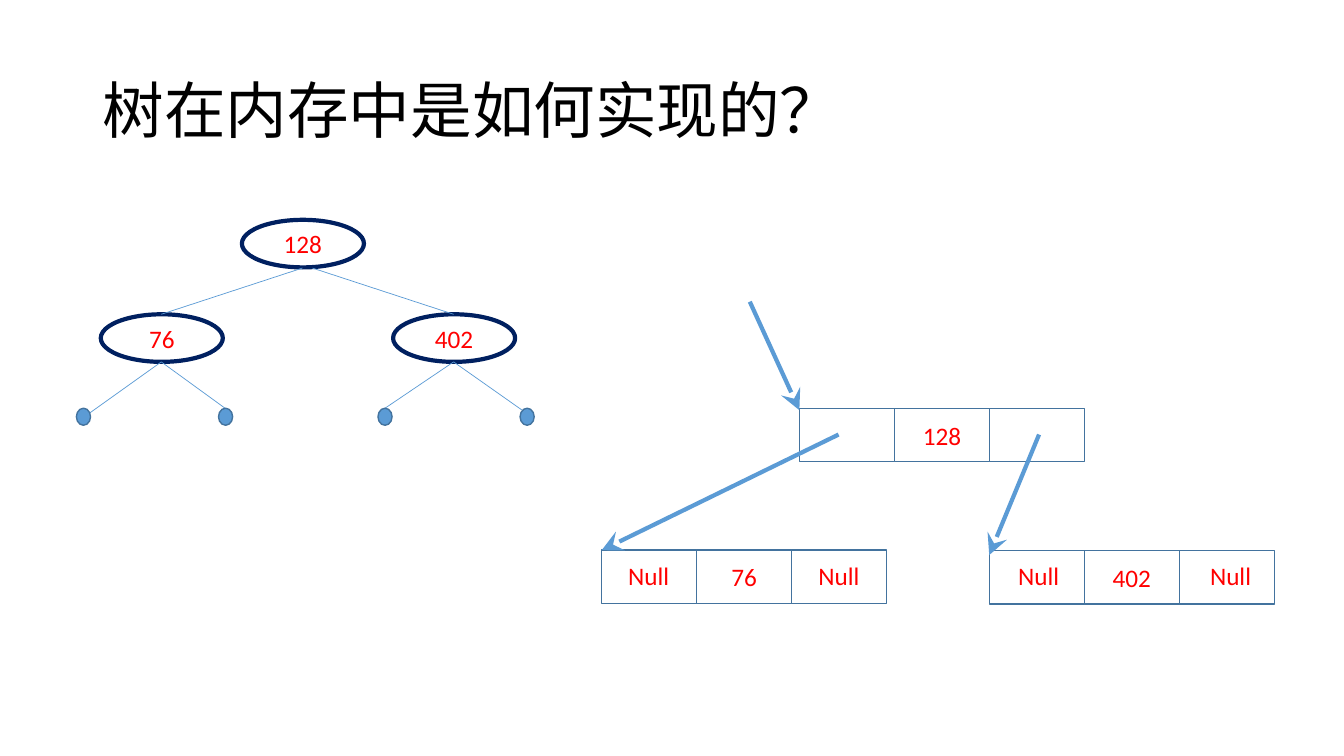
from pptx import Presentation
from pptx.dml.color import RGBColor
from pptx.enum.shapes import MSO_CONNECTOR, MSO_SHAPE
from pptx.enum.text import MSO_ANCHOR, PP_ALIGN
from pptx.oxml.ns import qn
from pptx.util import Pt
from lxml.etree import SubElement

COLORS = {
    "black": "000000",
    "white": "FFFFFF",
    "navy": "002060",
    "blue": "5B9BD5",
    "outline": "43739E",
    "red": "FF0000",
}


def add_node(shapes, kind, bounds, fill, line, weight, label=""):
    node = shapes.add_shape(kind, *[Pt(value) for value in bounds])
    node.shadow.inherit = False
    node.fill.solid()
    node.fill.fore_color.rgb = RGBColor.from_string(COLORS[fill])
    node.line.color.rgb = RGBColor.from_string(COLORS[line])
    node.line.width = Pt(weight)
    if label:
        node.text_frame.text = label
        node.text_frame.vertical_anchor = MSO_ANCHOR.MIDDLE
        para = node.text_frame.paragraphs[0]
        para.alignment = PP_ALIGN.CENTER
        para.font.name = "Calibri"
        para.font.size = Pt(18)
        para.font.color.rgb = RGBColor.from_string(COLORS["red"])


def add_link(shapes, points, weight, arrow=False):
    link = shapes.add_connector(MSO_CONNECTOR.STRAIGHT, *[Pt(value) for value in points])
    link.line.color.rgb = RGBColor.from_string(COLORS["blue"])
    link.line.width = Pt(weight)
    if arrow:
        SubElement(link.line._get_or_add_ln(), qn("a:tailEnd"), type="stealth", w="lg", len="lg")
    SubElement(link._element.spPr, qn("a:effectLst"))


deck = Presentation()
deck.slide_width = Pt(960)
deck.slide_height = Pt(540)
page = deck.slides.add_slide(deck.slide_layouts[5])

title = page.shapes.title
title.left, title.top, title.width, title.height = Pt(66), Pt(28.75), Pt(828), Pt(104.4)
title.text_frame.text = "树在内存中是如何实现的？"
title.text_frame.vertical_anchor = MSO_ANCHOR.MIDDLE
para = title.text_frame.paragraphs[0]
para.alignment = PP_ALIGN.LEFT
para.line_spacing = 0.9
para.font.name = "Calibri"
para.font.size = Pt(44)
para.font.color.rgb = RGBColor.from_string(COLORS["black"])

tree = page.shapes.add_group_shape().shapes
for label, left, top in [("128", 172.8, 157), ("76", 72, 224.5), ("402", 280.8, 224.5)]:
    add_node(tree, MSO_SHAPE.OVAL, (left, top, 87.2, 34), "white", "navy", 3, label)
for branch in [
    (216, 191.5, 115.2, 224.5),
    (223.2, 191.5, 324, 224.5),
    (115.2, 258.5, 62, 296.5),
    (115.2, 258.5, 160.8, 291.6),
    (324, 258.5, 275, 291.6),
    (324, 258.5, 373, 293),
]:
    add_link(tree, branch, 0.5)
for left in (54.6, 156.1, 270, 371.5):
    add_node(tree, MSO_SHAPE.OVAL, (left, 291.6, 10.1, 12.2), "blue", "outline", 1)

cell_width, cell_height = 67.9, 38.2
for label, left, top in [("128", 571, 291.6), ("76", 429.6, 393), ("402", 706.6, 393.2)]:
    record = page.shapes.add_group_shape().shapes
    for column, text in enumerate(("", label, "")):
        bounds = (left + column * cell_width, top, cell_width, cell_height)
        add_node(record, MSO_SHAPE.RECTANGLE, bounds, "white", "outline", 1, text)

for pointer in [
    (599, 310.4, 429.8, 393),
    (742.2, 310.4, 706.6, 396.5),
    (535.6, 215.5, 571, 293),
]:
    add_link(page.shapes, pointer, 3, arrow=True)

for left in (441.4, 577.2, 720, 857):
    box = page.shapes.add_textbox(Pt(left), Pt(396.7), Pt(44), Pt(29))
    box.text_frame.word_wrap = False
    box.text_frame.text = "Null"
    para = box.text_frame.paragraphs[0]
    para.alignment = PP_ALIGN.CENTER
    para.font.name = "Calibri"
    para.font.size = Pt(18)
    para.font.color.rgb = RGBColor.from_string(COLORS["red"])

deck.save("out.pptx")
